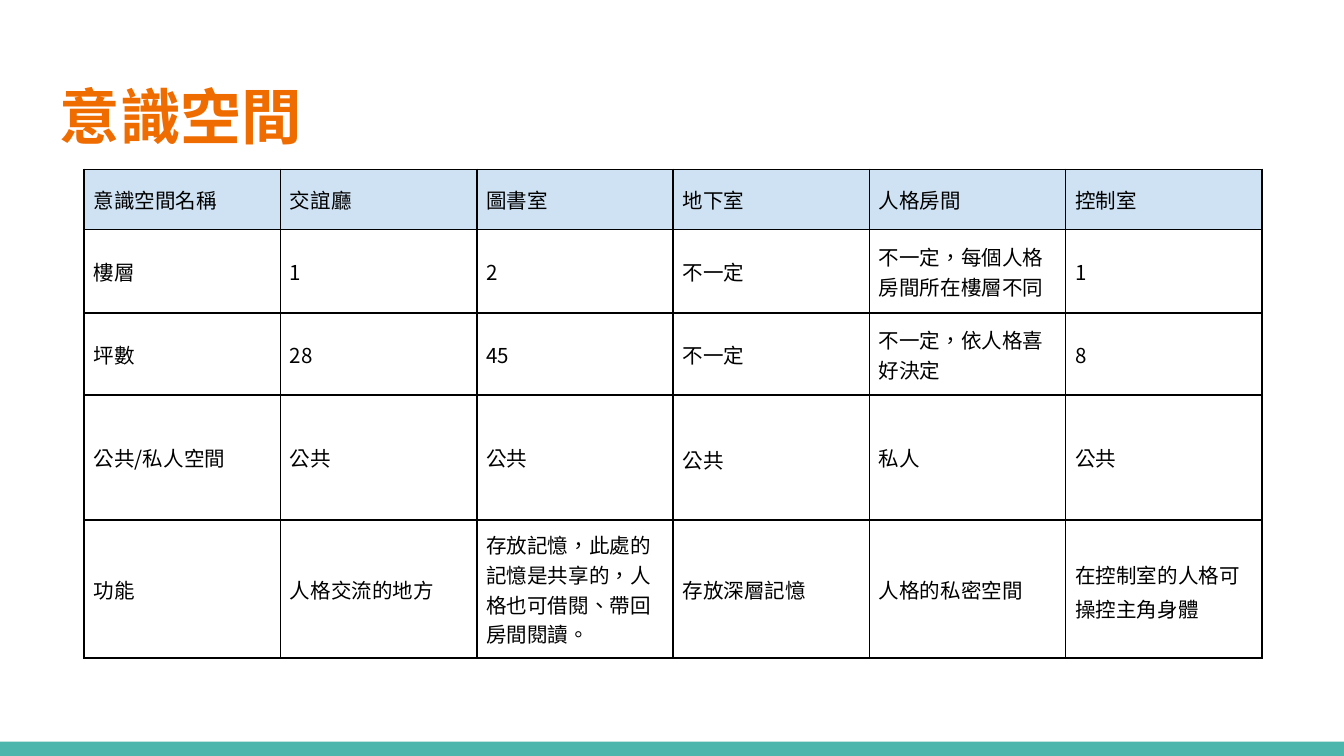
from dataclasses import dataclass

from lxml.etree import SubElement
from pptx import Presentation
from pptx.dml.color import RGBColor
from pptx.enum.shapes import MSO_SHAPE
from pptx.enum.text import MSO_ANCHOR
from pptx.oxml import parse_xml
from pptx.oxml.ns import nsdecls, qn
from pptx.util import Cm, Pt


@dataclass(frozen=True)
class Theme:
    title: RGBColor = RGBColor.from_string("EF6C00")
    text: RGBColor = RGBColor.from_string("000000")
    header: RGBColor = RGBColor.from_string("CFE2F3")
    footer: RGBColor = RGBColor.from_string("4DB6AC")
    title_font: str = "Roboto Condensed"
    body_font: str = "Noto Sans CJK TC"
    title_size: float = 32.4
    body_size: float = 11
    border: float = 1


def write_text(frame, text, color, formats):
    para = frame.paragraphs[0]
    span = para.add_run()
    span.text = text
    span.font.color.rgb = color
    for name, value in formats.items():
        setattr(span.font, name, value)
    # Traditional Chinese centres its commas; the typeface has no public setter
    properties = span._r.get_or_add_rPr()
    properties.set("lang", "zh-TW")
    SubElement(properties, qn("a:ea")).set("typeface", theme.body_font)
    return para


def add_borders(cell):
    properties = cell._tc.get_or_add_tcPr()
    for index, side in enumerate(("lnL", "lnR", "lnT", "lnB")):
        line = parse_xml(
            f'<a:{side} {nsdecls("a")} w="{Pt(theme.border)}">'
            f'<a:solidFill><a:srgbClr val="{theme.text}"/></a:solidFill>'
            f'</a:{side}>'
        )
        properties.insert(index, line)


theme = Theme()
deck = Presentation()
deck.slide_width, deck.slide_height = Cm(25.4), Cm(14.29)
page = deck.slides.add_slide(deck.slide_layouts[6])

footer = page.shapes.add_shape(
    MSO_SHAPE.RECTANGLE, 0, Cm(14.02), deck.slide_width, Cm(0.27)
)
footer.shadow.inherit = False
footer.fill.solid()
footer.fill.fore_color.rgb = theme.footer
footer.line.fill.background()

title = page.shapes.add_textbox(Cm(0.88), Cm(1.2), Cm(23.67), Cm(1.96))
title_frame = {
    "word_wrap": True,
    "vertical_anchor": MSO_ANCHOR.MIDDLE,
    "margin_left": Cm(0.25),
    "margin_right": Cm(0.25),
    "margin_top": Cm(0.25),
    "margin_bottom": Cm(0.25),
}
for name, value in title_frame.items():
    setattr(title.text_frame, name, value)
title_formats = {
    "size": Pt(theme.title_size), "name": theme.title_font, "bold": True,
}
write_text(title.text_frame, "意識空間", theme.title, title_formats)

rows = [
    ["意識空間名稱", "交誼廳", "圖書室", "地下室", "人格房間", "控制室"],
    ["樓層", "1", "2", "不一定", "不一定，每個人格房間所在樓層不同", "1"],
    ["坪數", "28", "45", "不一定", "不一定，依人格喜好決定", "8"],
    ["公共/私人空間", "公共", "公共", "公共", "私人", "公共"],
    ["功能", "人格交流的地方",
     "存放記憶，此處的記憶是共享的，人格也可借閱、帶回房間閱讀。",
     "存放深層記憶", "人格的私密空間", "在控制室的人格可操控主角身體"],
]
row_heights = [1.14, 1.58, 1.55, 2.36, 2.61]
column_width = 3.71
loose_cells = {(3, 3), (4, 5)}  # cells with wider line spacing

table = page.shapes.add_table(
    len(rows), len(rows[0]), Cm(1.59), Cm(3.2),
    Cm(column_width * len(rows[0])), Cm(sum(row_heights)),
).table
table.first_row = table.horz_banding = False
for column in table.columns:
    column.width = Cm(column_width)

cell_formats = {
    "vertical_anchor": MSO_ANCHOR.MIDDLE,
    "margin_left": Cm(0.18),
    "margin_right": Cm(0.18),
    "margin_top": Cm(0.18),
    "margin_bottom": Cm(0.18),
}
body_formats = {"size": Pt(theme.body_size), "name": theme.body_font}
for row_index, (texts, height) in enumerate(zip(rows, row_heights)):
    table.rows[row_index].height = Cm(height)
    for column_index, text in enumerate(texts):
        cell = table.cell(row_index, column_index)
        for name, value in cell_formats.items():
            setattr(cell, name, value)
        if row_index == 0:
            cell.fill.solid()
            cell.fill.fore_color.rgb = theme.header
        else:
            cell.fill.background()
        add_borders(cell)
        para = write_text(cell.text_frame, text, theme.text, body_formats)
        if (row_index, column_index) in loose_cells:
            para.line_spacing = 1.15

deck.save("out.pptx")
